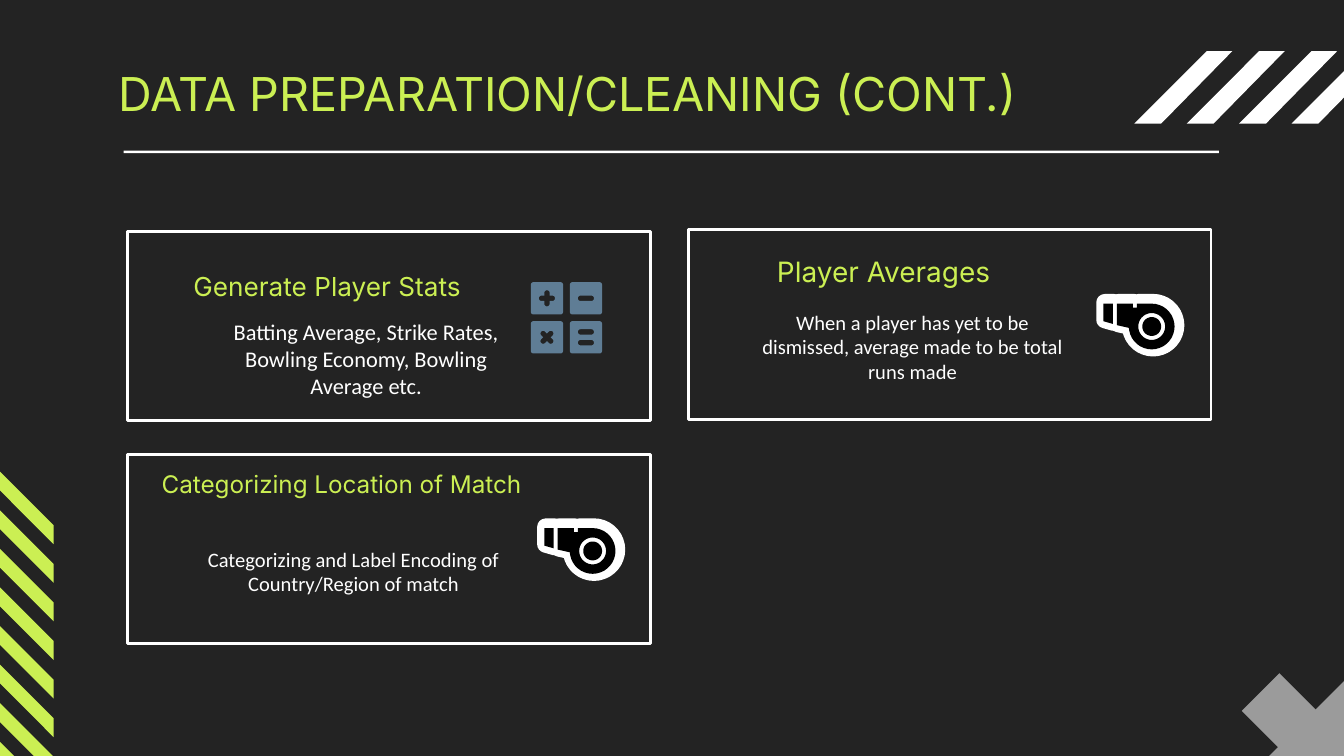
from math import cos, radians, sin

from pptx import Presentation
from pptx.dml.color import RGBColor
from pptx.enum.shapes import MSO_SHAPE as Shape
from pptx.enum.text import MSO_ANCHOR as Anchor, MSO_AUTO_SIZE as AutoSize, PP_ALIGN as Align
from pptx.util import Inches, Pt

DARK = RGBColor(0x23, 0x23, 0x23)
LIME = RGBColor(0xCB, 0xEF, 0x53)
WHITE = RGBColor(0xFF, 0xFF, 0xFF)
BLACK = RGBColor(0x00, 0x00, 0x00)
GRAY = RGBColor(0x9B, 0x9B, 0x9B)
STEEL = RGBColor(0x5F, 0x7D, 0x95)

CARDS = [
    ((6.36, 0.47),
     ("Player Averages", 15, (5.12, 1.88, 2.91, 0.28)),
     ("When a player has yet to be dismissed, average made to be total runs made",
      11, (5.5, 2.26, 2.58, 0.64))),
    ((2.19, 0.48),
     ("Generate Player Stats", 14, (0.98, 1.99, 2.91, 0.28)),
     ("Batting Average, Strike Rates, Bowling Economy, Bowling Average etc.",
      12, (1.56, 2.42, 2.33, 0.5))),
    ((2.19, 2.14),
     ("Categorizing Location of Match", 13, (0.95, 3.46, 3.18, 0.28)),
     ("Categorizing and Label Encoding of Country/Region of match",
      11, (1.34, 3.93, 2.58, 0.64))),
]


def fill_text(shape, text, size, font_name, color, align, anchor):
    frame = shape.text_frame
    frame.word_wrap = True
    frame.auto_size = AutoSize.NONE
    frame.vertical_anchor = anchor
    frame.margin_left = frame.margin_right = Inches(0.1)
    frame.margin_top = frame.margin_bottom = Inches(0.1)
    paragraph = frame.paragraphs[0]
    paragraph.alignment = align
    run = paragraph.add_run()
    run.text = text
    run.font.size = Pt(size)
    run.font.name = font_name
    run.font.color.rgb = color


def add_title(slide, text):
    title = slide.shapes.title
    title.left, title.top = Inches(0.78), Inches(0.38)
    title.width, title.height = Inches(8.44), Inches(0.67)
    fill_text(title, text, 25, "Inter", LIME, Align.LEFT, Anchor.TOP)


def add_label(slide, text, size, box, font_name, color):
    label = slide.shapes.add_textbox(*map(Inches, box))
    fill_text(label, text, size, font_name, color, Align.CENTER, Anchor.MIDDLE)


def add_rectangle(slide, box):
    rectangle = slide.shapes.add_shape(Shape.RECTANGLE, *map(Inches, box))
    rectangle.shadow.inherit = False
    return rectangle


def add_outline(shapes, contours, color, line_width=0):
    builder = None
    for contour in contours:
        points = [(Inches(x), Inches(y)) for x, y in contour]
        if builder is None:
            builder = shapes.build_freeform(*points[0])
        else:
            builder.move_to(*points[0])
        builder.add_line_segments(points[1:], close=True)
    outline = builder.convert_to_shape()
    outline.shadow.inherit = False
    outline.fill.solid()
    outline.fill.fore_color.rgb = color
    if line_width:
        outline.line.color.rgb = color
        outline.line.width = Pt(line_width)
    else:
        outline.line.fill.background()


def arc(radius, start, end):
    step = 10 if end > start else -10
    return [(radius * cos(radians(angle)), radius * sin(radians(angle)))
            for angle in range(start, end + step, step)]


def shift(points, x, y):
    return [(x + point_x, y + point_y) for point_x, point_y in points]


def rotate(points, angle):
    cosine, sine = cos(radians(angle)), sin(radians(angle))
    return [(x * cosine - y * sine, x * sine + y * cosine) for x, y in points]


def add_decorations(slide):
    top_stripes = slide.shapes.add_group_shape().shapes
    for index in range(4):
        stripe = [(0.54, 0), (0, 0.54), (0.2, 0.54), (0.73, 0)]
        add_outline(top_stripes, [shift(stripe, 8.44 + 0.39 * index, 0.38)], WHITE)

    cross = slide.shapes.add_group_shape().shapes
    for angle in (0, 90):
        bar = [(0.27, -0.55), (-0.55, 0.27), (-0.27, 0.55), (0.55, -0.27)]
        add_outline(cross, [shift(rotate(bar, angle), 9.79, 5.56)], GRAY)

    side_stripes = slide.shapes.add_group_shape().shapes
    for index in range(8):
        stripe = [(0, 0), (0, 0.14), (0.4, 0.54), (0.4, 0.4)]
        add_outline(side_stripes, [shift(stripe, 0, 3.51 + 2.01 * index / 7)], LIME)

    rule = add_rectangle(slide, (0.92, 1.12, 8.15, 0.02))
    rule.fill.solid()
    rule.fill.fore_color.rgb = WHITE
    rule.line.fill.background()


def add_card(slide, corner, heading, body):
    frame = add_rectangle(slide, (*corner, 1.41, 3.89))
    frame.rotation = 90
    frame.fill.background()
    frame.line.color.rgb = WHITE
    frame.line.width = Pt(1.5)
    add_label(slide, *heading, "Inter", LIME)
    add_label(slide, *body, "Calibri", WHITE)


def bar_sign():
    cap = shift(arc(0.02, -90, 90), 0.04, 0)
    return cap + rotate(cap, 180)


def plus_sign():
    arm = shift(arc(0.02, -90, 90), 0.04, 0) + [(0.02, 0.02)]
    return [point for angle in range(0, 360, 90) for point in rotate(arm, angle)]


def add_calculator(slide, center_x, center_y):
    keys = slide.shapes.add_group_shape().shapes
    corner = shift(arc(0.02, 0, 90), 0.1, 0.1)
    key = [point for angle in range(0, 360, 90) for point in rotate(corner, angle)]
    signs = [
        [plus_sign()],
        [bar_sign()],
        [rotate(plus_sign(), 45)],
        [shift(bar_sign(), 0, -0.04), shift(bar_sign(), 0, 0.04)],
    ]
    for index, sign in enumerate(signs):
        row, column = divmod(index, 2)
        x, y = center_x + 0.29 * column, center_y + 0.29 * row
        add_outline(keys, [shift(contour, x, y) for contour in [key] + sign], STEEL)


def add_whistle(slide, center_x, center_y):
    body = ([(-0.26, -0.17), (-0.26, -0.01), (-0.17, 0.01)] + arc(0.17, 170, -90)
            + [(-0.11, -0.17), (-0.11, -0.14), (-0.14, -0.14), (-0.14, -0.17)])
    mouthpiece = [(-0.36, -0.17), (-0.36, -0.04), (-0.29, -0.02), (-0.29, -0.17)]
    parts = [[arc(0.07, 0, 350)], [arc(0.1, 0, 350), body], [mouthpiece]]
    whistle = slide.shapes.add_group_shape().shapes
    for color, line_width, offset in ((WHITE, 9, 0.01), (BLACK, 0, 0)):
        for contours in parts:
            placed = [shift(contour, center_x + offset, center_y - offset)
                      for contour in contours]
            add_outline(whistle, placed, color, line_width)


def main():
    presentation = Presentation()
    presentation.slide_width = Inches(10)
    presentation.slide_height = presentation.slide_width * 9 // 16
    slide = presentation.slides.add_slide(presentation.slide_layouts[5])
    slide.background.fill.solid()
    slide.background.fill.fore_color.rgb = DARK

    add_decorations(slide)
    add_title(slide, "DATA PREPARATION/CLEANING (CONT.)")
    for card in CARDS:
        add_card(slide, *card)
    add_calculator(slide, 4.07, 2.22)
    add_whistle(slide, 8.57, 2.43)
    add_whistle(slide, 4.41, 4.1)
    presentation.save("out.pptx")


if __name__ == "__main__":
    main()
